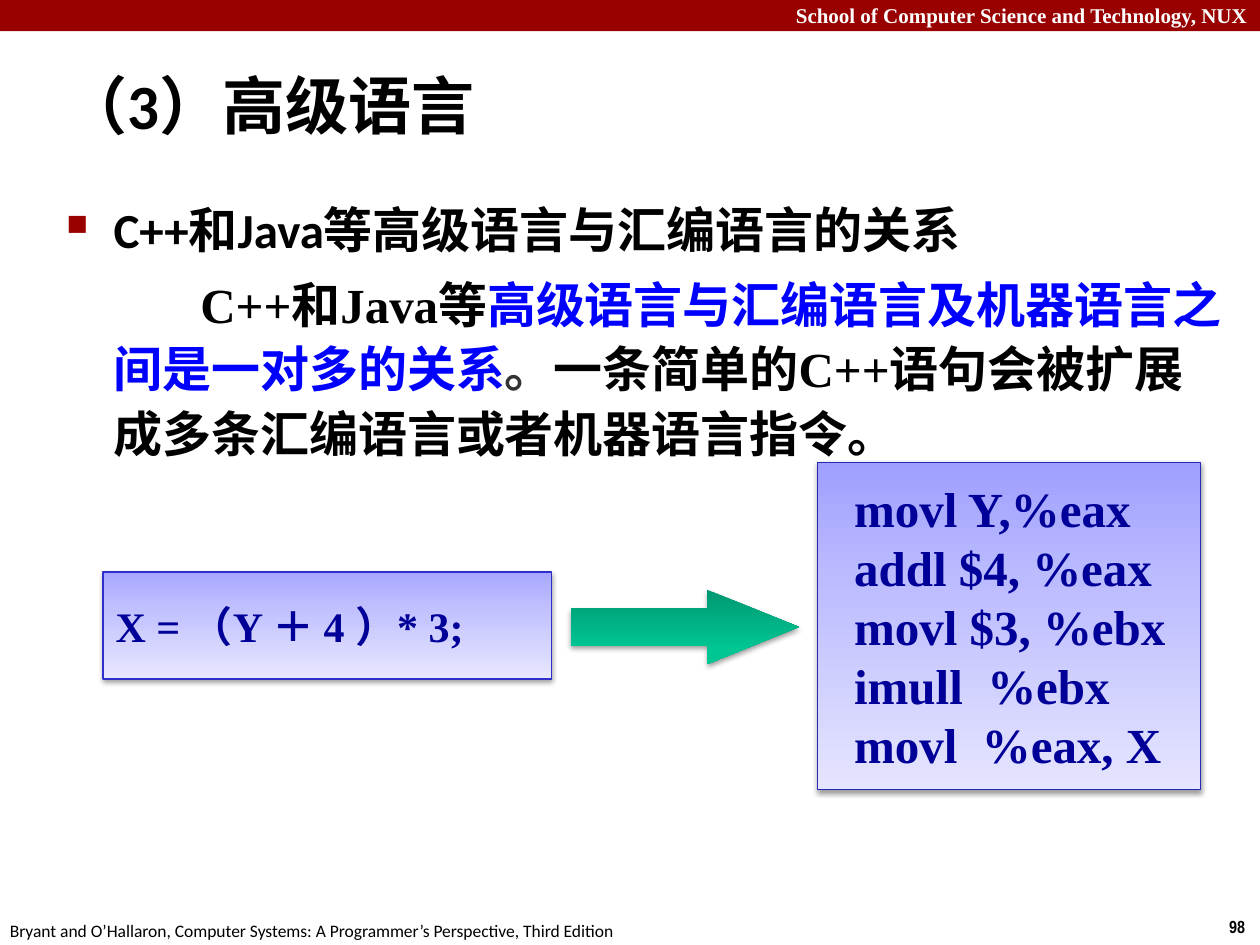
"""Build the slide on high-level languages and assembly language."""
from lxml import etree
from pptx import Presentation
from pptx import util as u
from pptx.dml.color import RGBColor
from pptx.enum import shapes, text
from pptx.oxml import ns

COLORS = {
    "red": "990000", "white": "FFFFFF", "black": "000000", "blue": "0000FF",
    "gray": "333333", "navy": "000099", "formula_line": "2E2ECB", "code_line": "2929B8",
}
GRADIENTS = {
    "formula": [(0, "A7A7FF"), (35, "C1C1FF"), (100, "E7E7FF")],
    "code": [(0, "9F9FFF"), (35, "BBBBFF"), (100, "E5E5FF")],
    "arrow": [(0, "009872"), (80, "00C694"), (100, "00C795")],
}
SERIF = "Times New Roman"
CODE = ["movl Y,%eax", "addl $4, %eax", "movl $3, %ebx", "imull  %ebx", "movl  %eax, X"]


def rgb(name):
    return RGBColor.from_string(COLORS[name])


def add_xml(parent, tag, **attrs):
    return etree.SubElement(parent, ns.qn(tag), {k: str(v) for k, v in attrs.items()})


def format_run(r, size, font, color, bold=True):
    r.font.size = u.Pt(size)
    r.font.name = font
    r.font.bold = bold
    r.font.color.rgb = rgb(color)


def set_indent(p, left, first):
    pPr = p._p.get_or_add_pPr()
    pPr.set("marL", str(u.Cm(left)))
    pPr.set("indent", str(u.Cm(first)))


def add_label(s, box, content, size, font, color, bold=True, align=None, wrap=False):
    tf = s.shapes.add_textbox(*map(u.Cm, box)).text_frame
    tf.word_wrap = wrap
    tf.text = content
    p = tf.paragraphs[0]
    p.alignment = align
    format_run(p.runs[0], size, font, color, bold)


def add_body_paragraph(p, first, parts):
    p.line_spacing = 1.1
    p.space_before = u.Pt(5.6)
    set_indent(p, 0.95, first)
    for content, font, color in parts:
        r = p.add_run()
        r.text = content
        format_run(r, 28, font, color)


def add_bullet(p):
    pPr = p._p.get_or_add_pPr()
    add_xml(add_xml(pPr, "a:buClr"), "a:srgbClr", val=COLORS["red"])
    add_xml(pPr, "a:buSzPct", val=60000)
    add_xml(pPr, "a:buChar", char="■")


def add_gradient_shape(s, kind, box, gradient, line=None):
    sp = s.shapes.add_shape(kind, *map(u.Cm, box))
    sp.fill.gradient()
    sp.fill.gradient_angle = 270
    if line:
        sp.line.color.rgb = rgb(line)
        sp.line.width = u.Pt(0.75)
    else:
        sp.line.fill.background()
    spPr = sp._element.spPr
    stops = spPr.find(".//" + ns.qn("a:gsLst"))
    stops.clear()
    for pos, color in GRADIENTS[gradient]:
        add_xml(add_xml(stops, "a:gs", pos=pos * 1000), "a:srgbClr", val=color)
    sp.shadow.inherit = False
    effects = spPr.find(ns.qn("a:effectLst"))
    shadow = add_xml(effects, "a:outerShdw", blurRad=u.Pt(3.1), dist=u.Pt(1.6),
                     dir=5400000, rotWithShape=0)
    add_xml(add_xml(shadow, "a:srgbClr", val=COLORS["black"]), "a:alpha", val=38000)
    return sp


def add_code_box(s, box, gradient, line, lines, size, inset):
    sp = add_gradient_shape(s, shapes.MSO_SHAPE.RECTANGLE, box, gradient, line)
    tf = sp.text_frame
    tf.word_wrap = True
    tf.margin_left, tf.margin_right = u.Cm(inset), u.Cm(0)
    tf.vertical_anchor = text.MSO_ANCHOR.MIDDLE
    tf.text = "\n".join(lines)
    for p in tf.paragraphs:
        p.alignment = text.PP_ALIGN.LEFT
        format_run(p.runs[0], size, SERIF, "navy")


def add_frame(s):
    bar = s.shapes.add_shape(shapes.MSO_SHAPE.RECTANGLE, 0, 0, u.Cm(25.4), u.Cm(0.63))
    bar.fill.solid()
    bar.fill.fore_color.rgb = rgb("red")
    bar.line.fill.background()
    bar.shadow.inherit = False
    add_label(s, (0, -0.08, 25.4, 0.77), "School of Computer Science and Technology, NUX",
              12, SERIF, "white", align=text.PP_ALIGN.RIGHT, wrap=True)
    add_label(s, (24.53, 18.35, 0.87, 0.68), "98", 10, "Arial Narrow", "black")
    add_label(s, (-0.05, 18.42, 12.9, 0.68),
              "Bryant and O’Hallaron, Computer Systems: A Programmer’s Perspective, Third Edition",
              10, "Calibri", "black", bold=False)


def add_title(s, content):
    sp = s.shapes.title
    sp.left, sp.top, sp.width, sp.height = map(u.Cm, (1.04, 1.04, 24.33, 2.11))
    tf = sp.text_frame
    tf.text = content
    tf.auto_size = text.MSO_AUTO_SIZE.NONE
    tf.vertical_anchor = text.MSO_ANCHOR.MIDDLE
    p = tf.paragraphs[0]
    p.alignment = text.PP_ALIGN.LEFT
    set_indent(p, 0.33, -0.33)
    format_run(p.runs[0], 36, "Calibri", "black")


def add_body(s):
    tf = s.shapes.add_textbox(*map(u.Cm, (1.09, 3.78, 23.88, 14.63))).text_frame
    tf.word_wrap = True
    heading = tf.paragraphs[0]
    add_body_paragraph(heading, -0.95, [("C++和Java等高级语言与汇编语言的关系", "Calibri", "black")])
    add_bullet(heading)
    add_body_paragraph(tf.add_paragraph(), 1.75, [
        ("C++和Java等", SERIF, "black"),
        ("高级语言与汇编语言及机器语言之间是一对多的关系", SERIF, "blue"),
        ("。", SERIF, "gray"),
        ("一条简单的C++语句会被扩展成多条汇编语言或者机器语言指令。", SERIF, "black"),
    ])


def main():
    prs = Presentation()
    prs.slide_width, prs.slide_height = u.Cm(25.4), u.Cm(19.05)
    s = prs.slides.add_slide(prs.slide_layouts[5])
    add_frame(s)
    add_title(s, "（3）高级语言")
    add_body(s)
    add_code_box(s, (2.08, 11.53, 9.04, 2.16), "formula", "formula_line",
                 ["X = （Y ＋ 4 ）* 3;"], 24, 0.25)
    add_code_box(s, (16.48, 9.32, 7.72, 6.6), "code", "code_line", CODE, 28, 0.74)
    arrow = add_gradient_shape(s, shapes.MSO_SHAPE.RIGHT_ARROW, (11.51, 11.89, 4.6, 1.5), "arrow")
    arrow.adjustments[1] = 1.235
    prs.save("out.pptx")


if __name__ == "__main__":
    main()
